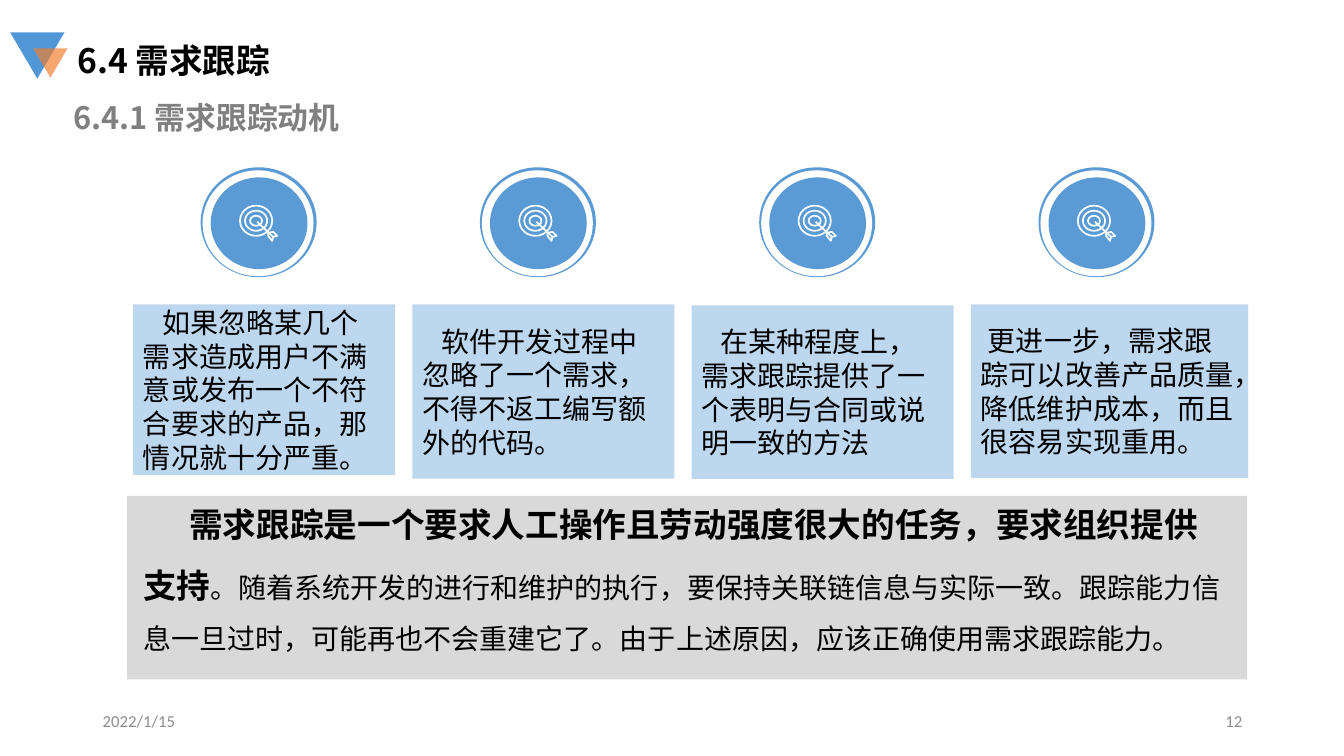
import lxml.etree
import pptx
import pptx.dml.color
import pptx.enum.shapes
import pptx.enum.text
import pptx.oxml.ns
import pptx.util

PX = 9144  # 100 px to the inch
SHAPE = pptx.enum.shapes.MSO_SHAPE
ALIGN = pptx.enum.text.PP_ALIGN
ANCHOR = pptx.enum.text.MSO_ANCHOR
FIT = pptx.enum.text.MSO_AUTO_SIZE
HAN = "Noto Sans CJK SC"
BLUE, WHITE, BLACK = "5B9BD5", "FFFFFF", "000000"
PALE, GREY = "BDD7EE", "8C8C8C"
STEP = 277
CARDS = [  # top, width, height, first-line indent, text
    (302, 260, 169, 19, "如果忽略某几个需求造成用户不满意或发布一个不符合要求的产品，那情况就十分严重。"),
    (302, 260, 173, 19, "软件开发过程中忽略了一个需求，不得不返工编写额外的代码。"),
    (303, 260, 172, 19, "在某种程度上，需求跟踪提供了一个表明与合同或说明一致的方法"),
    (302, 275, 172, 7, "更进一步，需求跟踪可以改善产品质量，降低维护成本，而且很容易实现重用。"),
]
LEAD = "需求跟踪是一个要求人工操作且劳动强度很大的任务，要求组织提供支持"
REST = ("。随着系统开发的进行和维护的执行，要保持关联链信息与实际一致。"
        "跟踪能力信息一旦过时，可能再也不会重建它了。"
        "由于上述原因，应该正确使用需求跟踪能力。")


def px(*vals):
    return [pptx.util.Emu(v * PX) for v in vals]


def rgb(code):
    return pptx.dml.color.RGBColor.from_string(code)


def sub(node, tag, **attrs):
    return lxml.etree.SubElement(node, pptx.oxml.ns.qn(tag), **attrs)


def paint(shape, fill=None, line=None, width=1.2):
    shape.shadow.inherit = False
    if fill:
        shape.fill.solid()
        shape.fill.fore_color.rgb = rgb(fill)
    else:
        shape.fill.background()
    if line:
        shape.line.color.rgb = rgb(line)
        shape.line.width = pptx.util.Pt(width)
    else:
        shape.line.fill.background()
    return shape


def add(slide, kind, box, fill=None, line=None):
    return paint(slide.shapes.add_shape(kind, *px(*box)), fill, line)


def write(shape, text, size, color=BLACK, bold=False, face=HAN,
          align=ALIGN.LEFT, indent=0, anchor=ANCHOR.MIDDLE):
    """Fill the shape with one paragraph and return the paragraph."""
    frame = shape.text_frame
    frame.word_wrap = True
    frame.vertical_anchor = anchor
    para = frame.paragraphs[0]
    para.text = text
    para.alignment = align
    font = para.font
    font.name, font.size, font.bold = face, pptx.util.Pt(size), bold
    font.color.rgb = rgb(color)
    props = para._p.get_or_add_pPr()
    props.set("indent", str(indent * PX))
    sub(props.find(pptx.oxml.ns.qn("a:defRPr")), "a:ea", typeface=face)
    return para


def label(slide, box, text, size, grow=True, **style):
    """Add a text box; one that grows is anchored at its top."""
    shape = slide.shapes.add_textbox(*px(*box))
    anchor = ANCHOR.TOP if grow else ANCHOR.MIDDLE
    para = write(shape, text, size, anchor=anchor, **style)
    if grow:
        shape.text_frame.auto_size = FIT.SHAPE_TO_FIT_TEXT
    return para


def target(slide, x, y):
    """Draw the bullseye around x, y with an arrow stuck in it."""
    for size in (32, 22, 12):
        half = size // 2
        add(slide, SHAPE.OVAL, (x - half, y - half + 1, size, size - 2),
            line=WHITE)
    tail = [(12, 12), (17, 11), (21, 15), (17, 16), (16, 20), (12, 15)]
    pts = [(x + dx, y + dy) for dx, dy in tail]
    build = slide.shapes.build_freeform(*pts[0], scale=PX)
    build.add_line_segments(pts[1:], close=True)
    paint(build.convert_to_shape(), BLUE, WHITE)
    shaft = slide.shapes.add_connector(
        pptx.enum.shapes.MSO_CONNECTOR.STRAIGHT,
        *px(x + 1, y + 1, x + 17, y + 16))
    shaft.line.color.rgb = rgb(WHITE)
    shaft.line.width = pptx.util.Pt(1.2)
    sub(shaft._element.spPr, "a:effectLst")


def badge(slide, x):
    rings = [((0, 166, 115, 109), BLUE), ((2, 169, 110, 105), WHITE),
             ((10, 176, 96, 91), BLUE)]
    for (dx, *rest), fill in rings:
        add(slide, SHAPE.OVAL, (x + dx, *rest), fill)
    target(slide, x + 55, 219)


def head(slide):
    for box, fill in [((10, 32, 54, 46), "5197D7"),
                      ((33, 48, 34, 29), "F37D2A")]:
        mark = add(slide, SHAPE.ISOSCELES_TRIANGLE, box, fill)
        mark.rotation = 180
    tint = mark._element.spPr.find(".//" + pptx.oxml.ns.qn("a:srgbClr"))
    sub(tint, "a:alpha", val="68000")
    label(slide, (67, 35, 335, 50), "6.4 需求跟踪", 24, bold=True)
    label(slide, (63, 93, 518, 47), "6.4.1 需求跟踪动机", 22,
          color="808080", bold=True)


def note(slide):
    add(slide, SHAPE.RECTANGLE, (126, 492, 1111, 182), "D9D9D9")
    para = label(slide, (132, 475, 1092, 182), LEAD, 20, indent=46)
    para.line_spacing = 1.5
    lead = para.runs[0].font
    lead.size, lead.bold = pptx.util.Pt(24), True
    para.add_run().text = REST


def main():
    deck = pptx.Presentation()
    deck.slide_width, deck.slide_height = px(1333, 750)
    slide = deck.slides.add_slide(deck.slide_layouts[6])
    head(slide)
    note(slide)
    for i, (top, width, height, indent, text) in enumerate(CARDS):
        card = add(slide, SHAPE.RECTANGLE,
                   (132 + i * STEP, top, width, height), PALE)
        write(card, text, 20, indent=indent)
        badge(slide, 199 + i * STEP)
    for x, text, align in [(92, "2022/1/15", ALIGN.LEFT),
                           (942, "12", ALIGN.RIGHT)]:
        label(slide, (x, 695, 300, 40), text, 12, grow=False,
              color=GREY, face="Calibri", align=align)
    deck.save("out.pptx")


if __name__ == "__main__":
    main()
